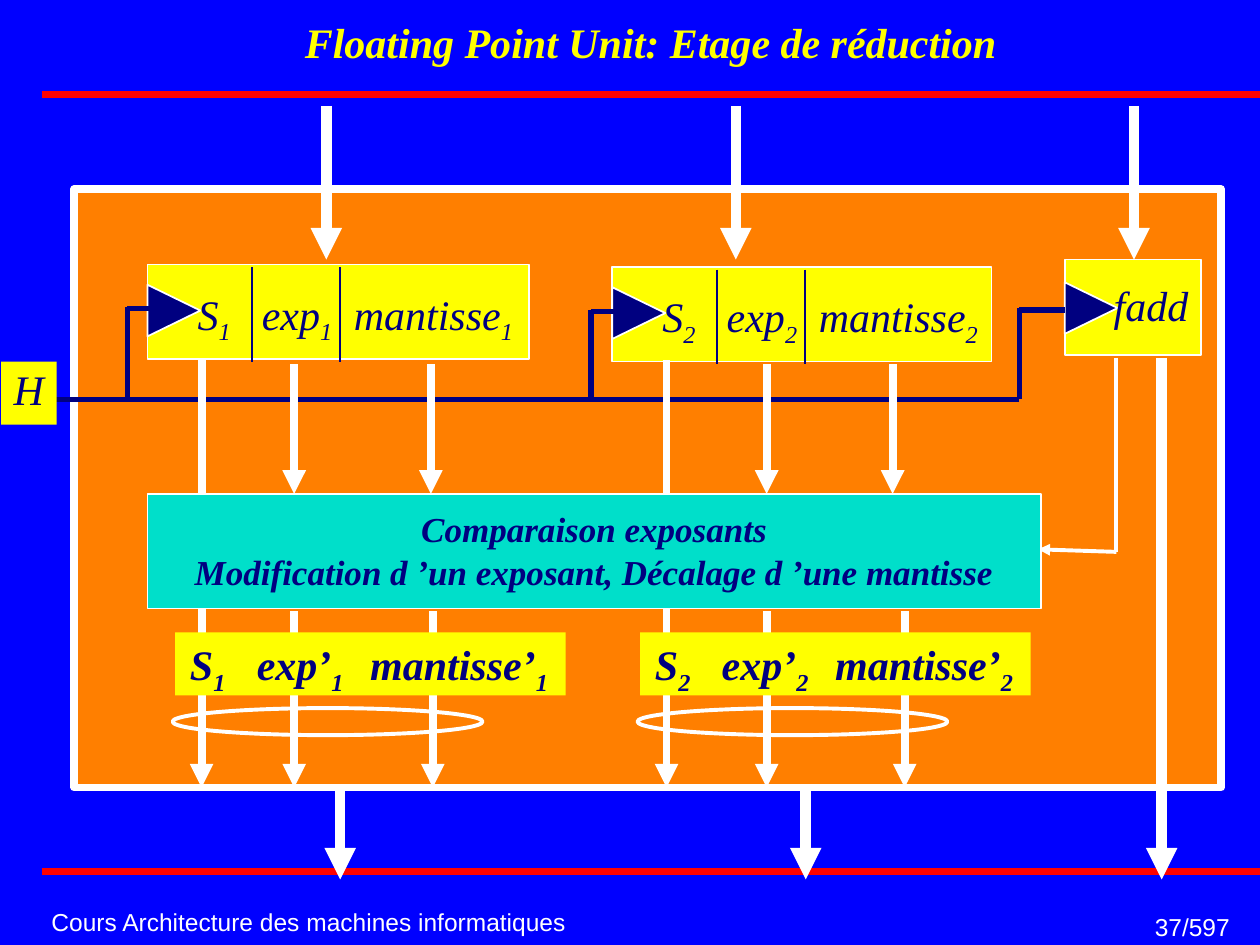
from lxml import etree
from pptx import Presentation
from pptx import util as u
from pptx.dml.color import RGBColor
from pptx.enum import shapes, text
from pptx.oxml.ns import qn

BLUE = RGBColor(0x00, 0x00, 0xFF)
RED = RGBColor(0xFF, 0x01, 0x00)
WHITE = RGBColor(0xFF, 0xFF, 0xFF)
YELLOW = RGBColor(0xFF, 0xFF, 0x00)
ORANGE = RGBColor(0xFF, 0x7F, 0x00)
NAVY = RGBColor(0x00, 0x00, 0x80)
TURQUOISE = RGBColor(0x00, 0xDF, 0xCA)

COLUMNS, ROWS = 100, 75
SERIF, SANS = "Times New Roman", "Arial"
OPERAND_STEP = 36.9  # columns from the first operand to the second
RECTANGLE = shapes.MSO_SHAPE.RECTANGLE
LEFT, CENTER, RIGHT = (text.PP_ALIGN.LEFT, text.PP_ALIGN.CENTER,
                       text.PP_ALIGN.RIGHT)
TOP, MIDDLE, BOTTOM = (text.MSO_ANCHOR.TOP, text.MSO_ANCHOR.MIDDLE,
                       text.MSO_ANCHOR.BOTTOM)


def grid(*cells):
    """Turn grid counts (square cells, COLUMNS by ROWS) into lengths."""
    return [u.Inches(10 * cell / COLUMNS) for cell in cells]


def paint(shape, fill, line, width):
    shape.shadow.inherit = False
    if fill is None:
        shape.fill.background()
    else:
        shape.fill.solid()
        shape.fill.fore_color.rgb = fill
    if line is None:
        shape.line.fill.background()
    else:
        shape.line.color.rgb = line
        shape.line.width = u.Pt(width)


def add_box(slide, area, fill=None, line=WHITE, width=1, kind=RECTANGLE):
    shape = slide.shapes.add_shape(kind, *grid(*area))
    paint(shape, fill, line, width)
    return shape


def add_line(slide, start, end, color=WHITE, width=4.5, arrow=False):
    connector = slide.shapes.add_connector(
        shapes.MSO_CONNECTOR.STRAIGHT, *grid(*start, *end))
    connector.line.color.rgb = color
    connector.line.width = u.Pt(width)
    if arrow:
        etree.SubElement(connector.line._get_or_add_ln(), qn("a:tailEnd"),
                         type="triangle")
    etree.SubElement(connector._element.spPr, qn("a:effectLst"))


def add_arrow(slide, column, top, bottom, width=4.5):
    add_line(slide, (column, top), (column, bottom), width=width, arrow=True)


def add_clock_input(slide, left, top):
    """Draw the triangle that marks a clocked register."""
    points = [grid(left, top), grid(left + 4.2, top + 2.05),
              grid(left, top + 4.1)]
    builder = slide.shapes.build_freeform(*points[0])
    builder.add_line_segments(points[1:], close=True)
    paint(builder.convert_to_shape(), NAVY, WHITE, 1)


def write(shape, paragraphs, size, color=NAVY, font=SERIF, bold=False,
          italic=True, align=LEFT, anchor=TOP, wrap=True, tabs=(),
          spacing=0.94):
    """Fill a shape; paragraphs are lists of runs, "_" starts a subscript."""
    frame = shape.text_frame
    frame.word_wrap = wrap
    frame.auto_size = text.MSO_AUTO_SIZE.NONE
    frame.vertical_anchor = anchor
    for index, pieces in enumerate(paragraphs):
        paragraph = frame.add_paragraph() if index else frame.paragraphs[0]
        paragraph.alignment = align
        paragraph.line_spacing = spacing if index == 0 else 1.0
        paragraph.space_before = u.Pt(0)
        if tabs:
            stops = etree.SubElement(paragraph._p.get_or_add_pPr(),
                                     qn("a:tabLst"))
            for position in grid(*tabs):
                etree.SubElement(stops, qn("a:tab"), pos=str(position),
                                 algn="l")
        for piece in pieces:
            run = paragraph.add_run()
            run.text = piece.lstrip("_")
            run.font.name = font
            run.font.size = u.Pt(size)
            run.font.bold = bold
            run.font.italic = italic
            run.font.color.rgb = color
            if piece.startswith("_"):
                run.font._element.set("baseline", "-25000")


def add_text(slide, area, paragraphs, size, **style):
    write(slide.shapes.add_textbox(*grid(*area)), paragraphs, size, **style)


def add_frame(slide):
    slide.background.fill.solid()
    slide.background.fill.fore_color.rgb = BLUE
    for row in (7.5, 69.2):
        add_line(slide, (3.3, row), (COLUMNS, row), RED, 4)
    footer = dict(color=WHITE, font=SANS, italic=False)
    add_text(slide, (3.1, 71.8, 45, 3),
             [["Cours Architecture des machines informatiques"]], 14,
             anchor=MIDDLE, spacing=0.93, **footer)
    add_text(slide, (78.9, 71.9, 19.7, 3.2), [["37/597"]], 14,
             align=RIGHT, wrap=False, spacing=1.0, **footer)
    title = slide.shapes.title
    title.left, title.top, title.width, title.height = grid(9.5, 1.1, 84.3, 4.8)
    write(title, [["Floating Point Unit: Etage de réduction"]], 24,
          color=YELLOW, bold=True, align=CENTER, anchor=BOTTOM)


def add_register(slide, number, left, top, width):
    add_box(slide, (left, top, width, 7.5), YELLOW)
    add_clock_input(slide, left, top + 1.6)
    for divider in (left + 8.3, left + 15.3):
        add_line(slide, (divider, top + 0.2), (divider, top + 7.7), NAVY, 1)
    add_text(slide, (left + 3, top + 1.4, 27, 5),
             [["S", f"_{number}", "\texp", f"_{number}",
               "\tmantisse", f"_{number}"]], 24, tabs=(5.1, 12.4))


def add_clock(slide):
    bus = 31.7
    for column, row, target in ((10.1, 24.5, 13.7), (46.9, 24.75, 50.7),
                                (80.9, 24.6, 84.5)):
        add_line(slide, (target, row), (column, row), NAVY, 3)
        add_line(slide, (column, row - 0.15), (column, bus), NAVY, 3)
    add_line(slide, (80.9, bus), (2.6, bus), NAVY, 3)
    add_box(slide, (0.1, 28.7, 4.4, 5), YELLOW, None)
    add_text(slide, (0.1, 28.7, 4.4, 4.5), [["H"]], 24)


def add_data_paths(slide):
    for sign in (16, 52.9):
        add_arrow(slide, sign, 28.6, 62.5)
    for column in (23.35, 34.2, 60.85, 70.85):
        add_arrow(slide, column, 28.9, 39.2)
    for column in (23.35, 34.35, 60.85, 71.8):
        add_arrow(slide, column, 48.5, 62.5)
    for column, top in ((27, 62.5), (63.95, 62.5), (92.2, 28.4)):
        add_arrow(slide, column, top, 69.8, 6)
    add_line(slide, (88.6, 43.8), (82.4, 43.6), width=2.25, arrow=True)
    add_line(slide, (88.6, 28.4), (88.6, 43.8), width=2.25)


def add_result(slide, number):
    shift = OPERAND_STEP * (number - 1)
    add_box(slide, (13.9 + shift, 50.2, 31, 5), YELLOW, None)
    add_text(slide, (14.1 + shift, 50.2, 30.7, 5),
             [["S", f"_{number}", "\texp’", f"_{number}",
               "\tmantisse’", f"_{number}"]], 24, bold=True, tabs=(5.3, 14.3))
    add_box(slide, (13.7 + shift, 56.2, 24.6, 2.15), width=2.25,
            kind=shapes.MSO_SHAPE.OVAL)


def add_comparator(slide):
    box = add_box(slide, (11.7, 39.2, 70.9, 9.1), TURQUOISE)
    write(box, [["Comparaison exposants"],
                ["Modification d ’un exposant, Décalage d ’une mantisse"]],
          20, bold=True, align=CENTER, anchor=MIDDLE)


def main():
    presentation = Presentation()
    presentation.slide_width, presentation.slide_height = grid(COLUMNS, ROWS)
    slide = presentation.slides.add_slide(presentation.slide_layouts[5])
    add_frame(slide)
    add_box(slide, (5.9, 15, 91, 47.5), ORANGE, width=4.5)
    for column in (25.9, 58.4, 90):
        add_arrow(slide, column, 8.4, 20.6, 6)
    add_register(slide, 1, 11.7, 21, 30.3)
    add_register(slide, 2, 11.7 + OPERAND_STEP, 21.2, 30.1)
    add_box(slide, (84.5, 20.6, 10.8, 7.6), YELLOW)
    add_clock_input(slide, 84.5, 22.4)
    add_text(slide, (87.4, 22, 7.9, 8), [["fadd"]], 24, wrap=False)
    add_clock(slide)
    add_data_paths(slide)
    for number in (1, 2):
        add_result(slide, number)
    add_comparator(slide)
    presentation.save("out.pptx")


if __name__ == "__main__":
    main()
